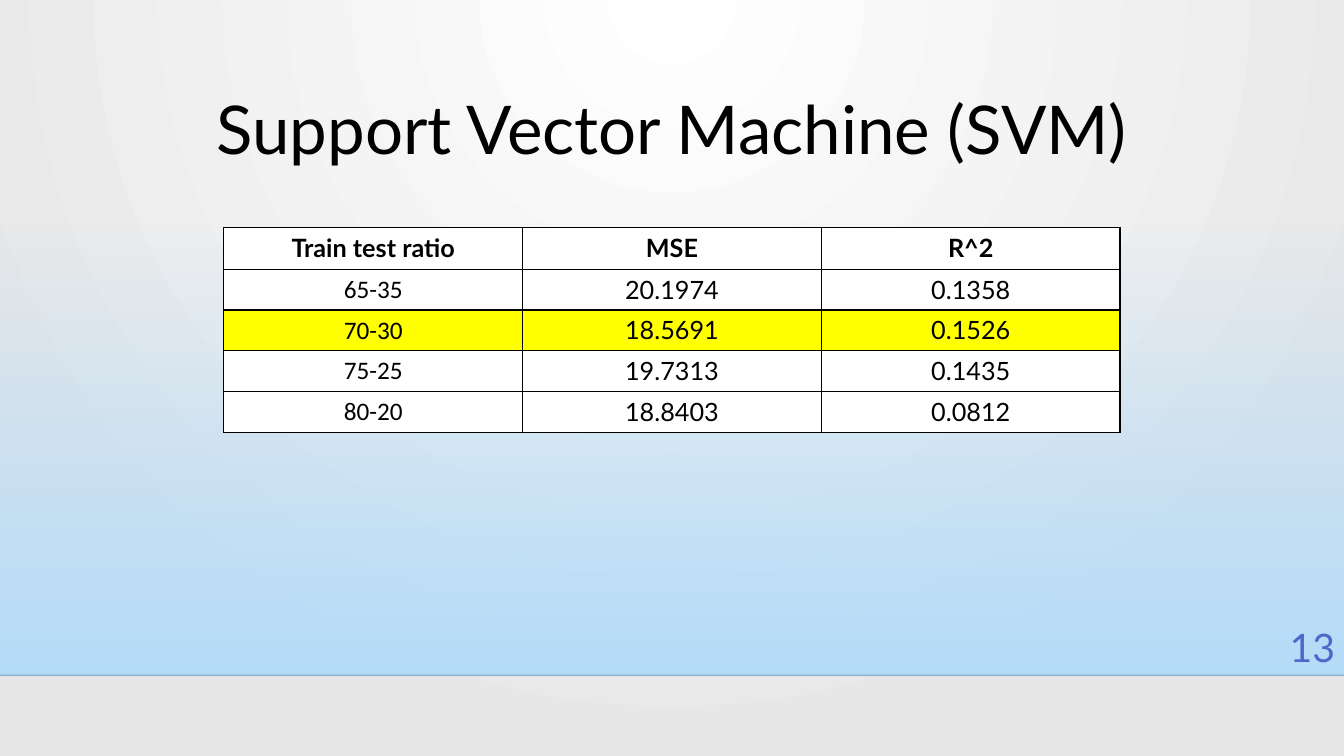
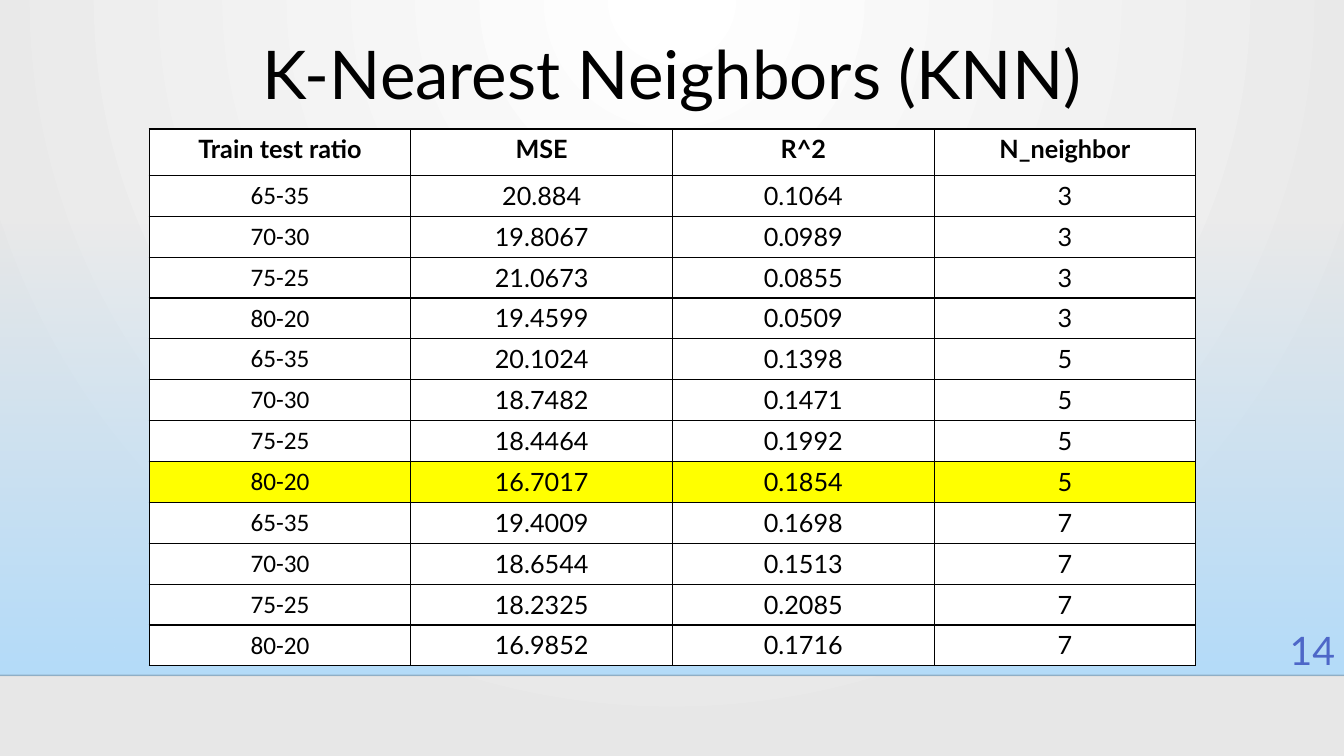
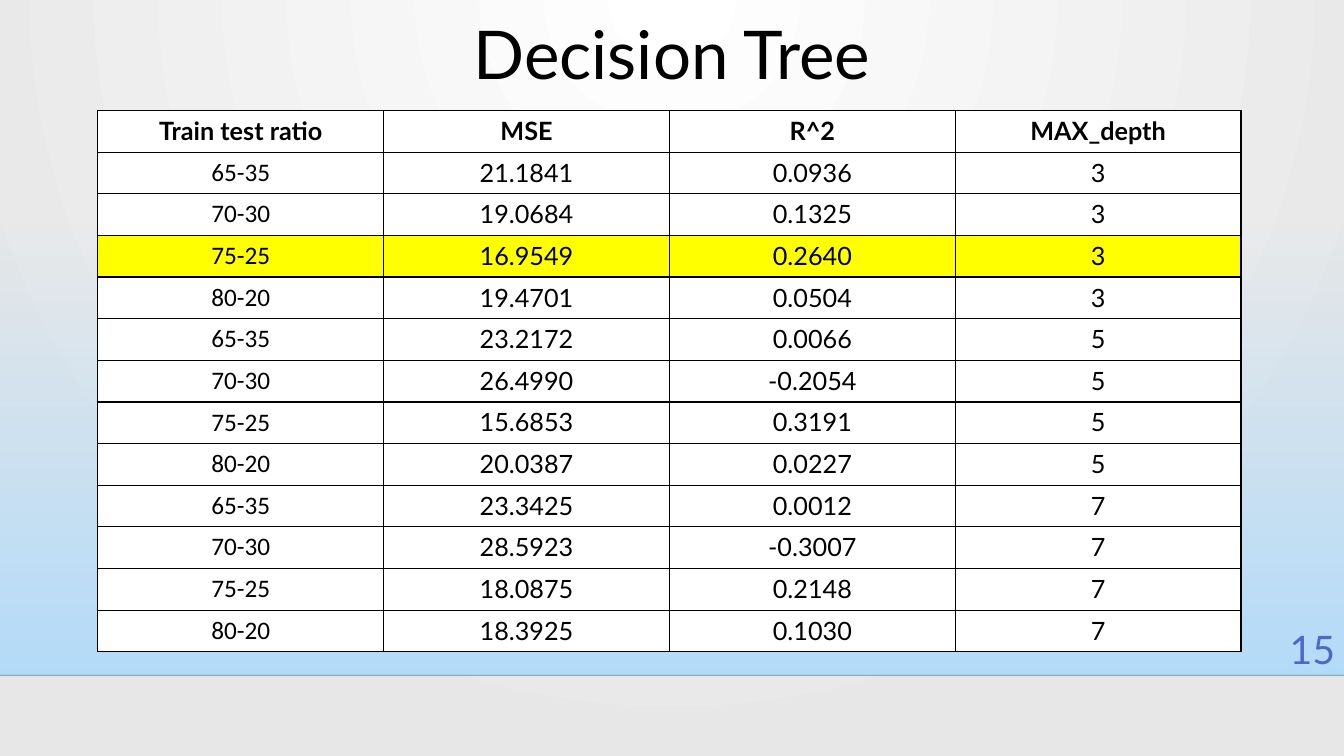
from lxml import etree
from pptx import Presentation
from pptx.dml.color import RGBColor
from pptx.enum import dml, shapes, text
from pptx.oxml.ns import qn
from pptx.util import Inches, Pt

WIDTH, HEIGHT = 13.33, 7.5
BAND_TOP, BAND_BOTTOM = 2.21, 6.7
WHITE, GREY, BLACK, YELLOW = "FFFFFF", "E7E7E7", "000000", "FFFF00"
SKY, NUMBER_BLUE, RULE_COLOR = "B4DCFA", "4E67C8", "000001"
HEADING_FONT, RATIO_FONT = "Lato", "Calibri"
RATIOS = ["65-35", "70-30", "75-25", "80-20"]
COLUMNS = ["Train test ratio", "MSE", "R^2"]
SETTINGS = ["3", "5", "7"]
FIRST_NUMBER = 13

MODELS = [
    {
        "title": "Support Vector Machine (SVM)", "title_top": 0.81, "number_top": 6.14,
        "table": (2.22, 2.26, 8.89, 2.03), "header_height": 0.41,
        "setting": None, "best": 1,
        "scores": [("20.1974", "0.1358"), ("18.5691", "0.1526"),
                   ("19.7313", "0.1435"), ("18.8403", "0.0812")],
    },
    {
        "title": "K-Nearest Neighbors (KNN)", "title_top": 0.27, "number_top": 6.17,
        "table": (1.48, 1.28, 10.38, 5.26), "header_height": 0.46,
        "setting": "N_neighbor", "best": 7,
        "scores": [("20.884", "0.1064"), ("19.8067", "0.0989"),
                   ("21.0673", "0.0855"), ("19.4599", "0.0509"),
                   ("20.1024", "0.1398"), ("18.7482", "0.1471"),
                   ("18.4464", "0.1992"), ("16.7017", "0.1854"),
                   ("19.4009", "0.1698"), ("18.6544", "0.1513"),
                   ("18.2325", "0.2085"), ("16.9852", "0.1716")],
    },
    {
        "title": "Decision Tree", "title_top": 0.07, "number_top": 6.16,
        "table": (0.97, 1.1, 11.34, 5.37), "header_height": 0.41,
        "setting": "MAX_depth", "best": 2,
        "scores": [("21.1841", "0.0936"), ("19.0684", "0.1325"),
                   ("16.9549", "0.2640"), ("19.4701", "0.0504"),
                   ("23.2172", "0.0066"), ("26.4990", "-0.2054"),
                   ("15.6853", "0.3191"), ("20.0387", "0.0227"),
                   ("23.3425", "0.0012"), ("28.5923", "-0.3007"),
                   ("18.0875", "0.2148"), ("18.3925", "0.1030")],
    },
]


def rgb(value):
    return RGBColor.from_string(value)


def place(shape, left, top, width, height):
    shape.left, shape.top = Inches(left), Inches(top)
    shape.width, shape.height = Inches(width), Inches(height)


def write(frame, content, size, color, align, font=HEADING_FONT, bold=False):
    paragraph = frame.paragraphs[0]
    paragraph.alignment = align
    run = paragraph.add_run()
    run.text = content
    run.font.name, run.font.size, run.font.bold = font, Pt(size), bold
    run.font.color.rgb = rgb(color)


def set_gradient(fill, start, end):
    fill.gradient()
    for stop, position, color in zip(fill.gradient_stops, (0, 1), (start, end)):
        stop.position = position
        stop.color.rgb = rgb(color)


def set_alpha(color_element, percent):
    etree.SubElement(color_element, qn("a:alpha"), val=str(percent * 1000))


def paint_background(master):
    set_gradient(master.background.fill, WHITE, GREY)
    gradient = master.element.find(".//" + qn("p:bgPr")).find(qn("a:gradFill"))
    gradient.remove(gradient.find(qn("a:lin")))
    circle = etree.SubElement(gradient, qn("a:path"))
    circle.set("path", "circle")
    etree.SubElement(circle, qn("a:fillToRect"), l="43000", t="0", r="43000", b="100000")


def add_band(layout, slide):
    band = slide.shapes.add_shape(
        shapes.MSO_SHAPE.RECTANGLE, 0, Inches(BAND_TOP),
        Inches(WIDTH), Inches(BAND_BOTTOM - BAND_TOP))
    band.shadow.inherit = False
    band.line.fill.background()
    set_gradient(band.fill, SKY, SKY)
    band.fill.gradient_angle = 270
    set_alpha(band.element.find(".//" + qn("a:srgbClr")), 0)

    rule = slide.shapes.add_connector(
        shapes.MSO_CONNECTOR.STRAIGHT, 0, Inches(BAND_BOTTOM),
        Inches(WIDTH), Inches(BAND_BOTTOM))
    rule.line.width = Pt(1)
    rule.line.color.rgb = rgb(RULE_COLOR)
    rule.line.dash_style = dml.MSO_LINE.SOLID
    set_alpha(rule.element.find(".//" + qn("a:srgbClr")), 20)
    etree.SubElement(rule.element.spPr, qn("a:effectLst"))

    for shape in (band, rule):
        layout.shapes.element.append(shape.element)


def add_title(slide, model):
    title = slide.shapes.title
    place(title, 0, model["title_top"], WIDTH, 0.91)
    frame = title.text_frame
    frame.word_wrap = True
    frame.auto_size = text.MSO_AUTO_SIZE.NONE
    frame.vertical_anchor = text.MSO_ANCHOR.MIDDLE
    write(frame, model["title"], 48, BLACK, text.PP_ALIGN.CENTER)


def add_number(slide, number, top):
    box = slide.shapes.add_textbox(Inches(12.45), Inches(top), Inches(0.89), Inches(0.55))
    frame = box.text_frame
    frame.word_wrap = True
    frame.vertical_anchor = text.MSO_ANCHOR.MIDDLE
    write(frame, str(number), 28, NUMBER_BLUE, text.PP_ALIGN.RIGHT)


def add_borders(cell):
    properties = cell._tc.get_or_add_tcPr()
    for side in ("lnL", "lnR", "lnT", "lnB"):
        border = etree.SubElement(properties, qn("a:" + side), w=str(Pt(1)))
        solid = etree.SubElement(border, qn("a:solidFill"))
        etree.SubElement(solid, qn("a:srgbClr"), val=BLACK)


def table_rows(model):
    setting = model["setting"]
    rows = [COLUMNS + ([setting] if setting else [])]
    for index, scores in enumerate(model["scores"]):
        group, ratio = divmod(index, len(RATIOS))
        rows.append([RATIOS[ratio], *scores] + ([SETTINGS[group]] if setting else []))
    return rows


def add_scores(slide, model):
    rows = table_rows(model)
    left, top, width, height = model["table"]
    header_height = model["header_height"]
    body_height = (height - header_height) / (len(rows) - 1)
    table = slide.shapes.add_table(
        len(rows), len(rows[0]), Inches(left), Inches(top),
        Inches(width), Inches(height)).table
    table.first_row = table.horz_banding = False
    for column in table.columns:
        column.width = Inches(width / len(rows[0]))
    for row_index, values in enumerate(rows):
        is_header = row_index == 0
        table.rows[row_index].height = Inches(header_height if is_header else body_height)
        for column_index, value in enumerate(values):
            cell = table.cell(row_index, column_index)
            add_borders(cell)
            cell.fill.solid()
            cell.fill.fore_color.rgb = rgb(YELLOW if row_index == model["best"] + 1 else WHITE)
            is_ratio = column_index == 0 and not is_header
            write(cell.text_frame, value, 18, BLACK, text.PP_ALIGN.CENTER,
                  RATIO_FONT if is_ratio else HEADING_FONT, is_header)


def main():
    presentation = Presentation()
    presentation.slide_width, presentation.slide_height = Inches(WIDTH), Inches(HEIGHT)
    paint_background(presentation.slide_master)
    layout = presentation.slide_layouts.get_by_name("Title Only")
    for index, model in enumerate(MODELS):
        slide = presentation.slides.add_slide(layout)
        if index == 0:
            add_band(layout, slide)
        add_title(slide, model)
        add_scores(slide, model)
        add_number(slide, FIRST_NUMBER + index, model["number_top"])
    presentation.save("out.pptx")


if __name__ == "__main__":
    main()
